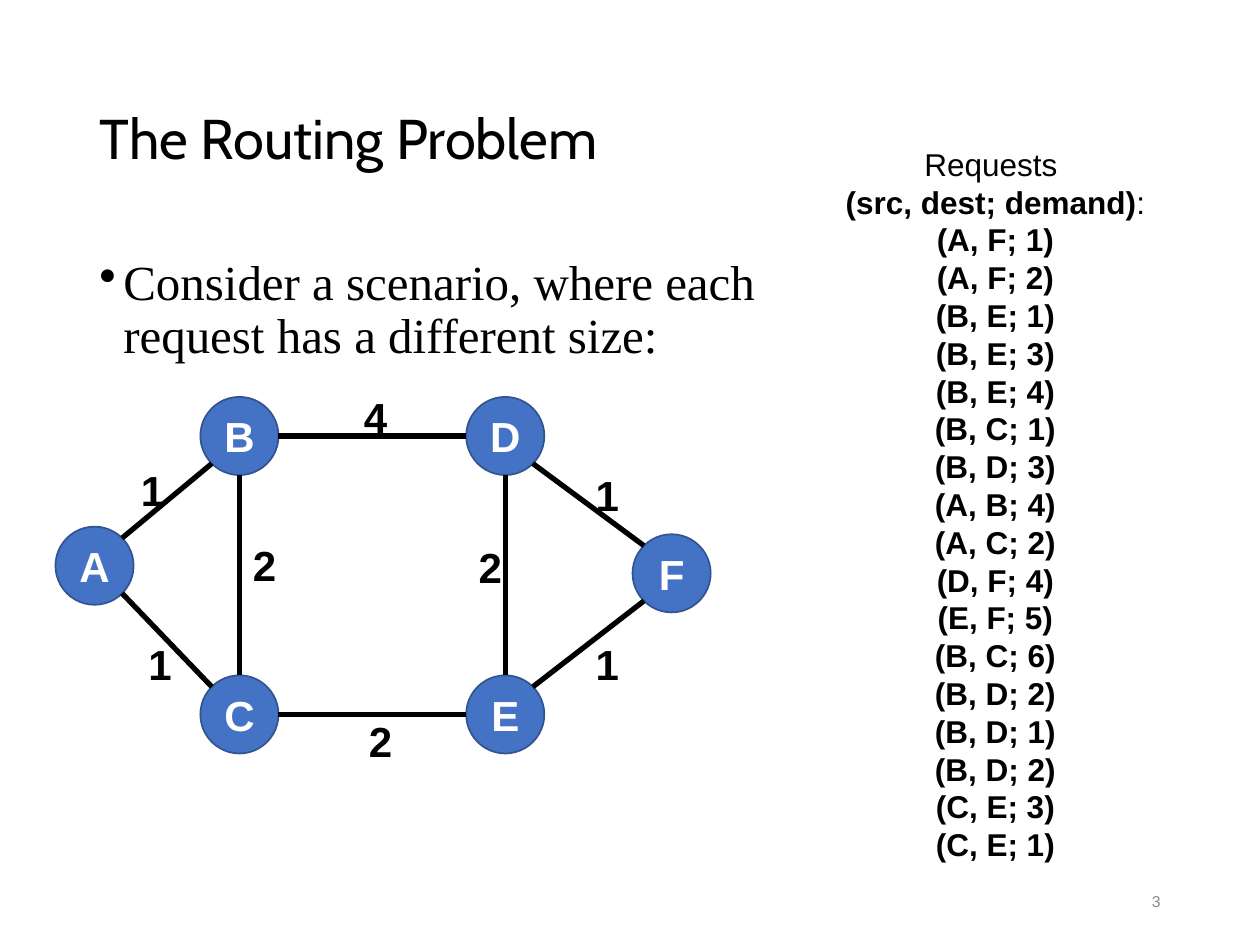
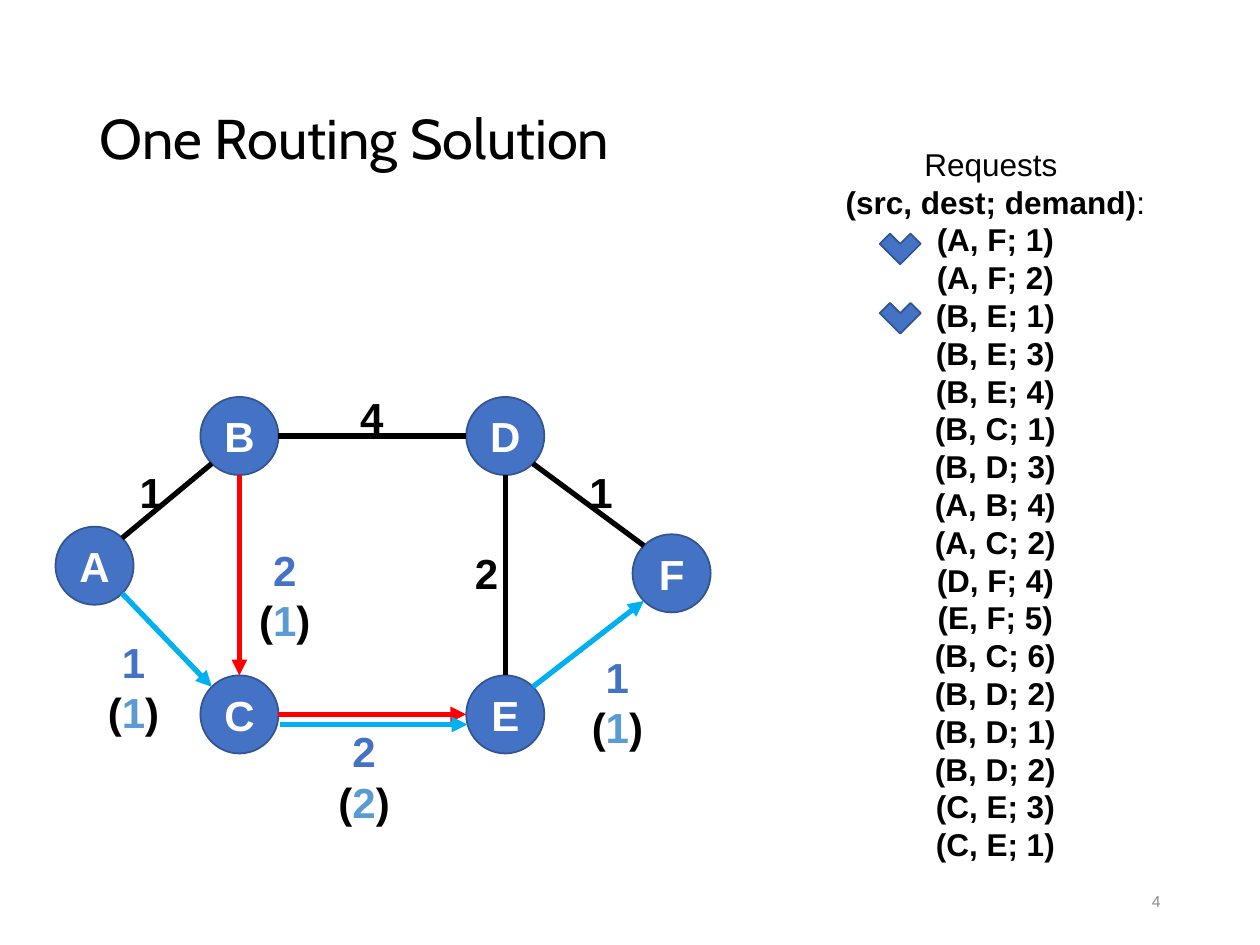
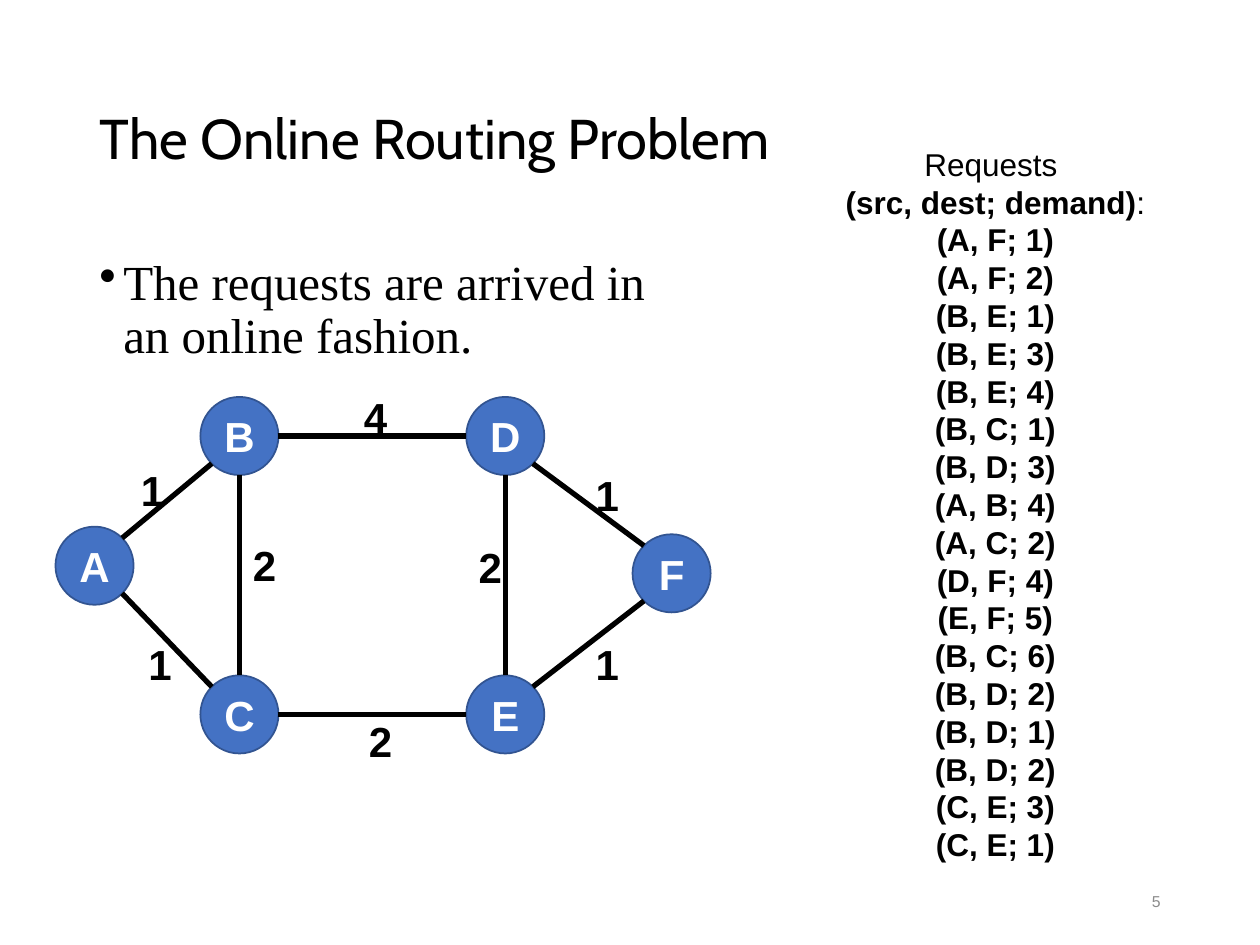
from dataclasses import dataclass
from math import hypot

from lxml.etree import SubElement
from pptx import Presentation
from pptx.dml.color import RGBColor
from pptx.enum.shapes import MSO_CONNECTOR, MSO_SHAPE
from pptx.enum.text import MSO_ANCHOR, PP_ALIGN
from pptx.oxml.ns import qn
from pptx.util import Inches, Pt


@dataclass(frozen=True)
class Theme:
    black: str = "000000"
    white: str = "FFFFFF"
    grey: str = "8C8C8C"
    blue: str = "4472C4"
    blue_edge: str = "325491"
    light_blue: str = "5B9BD5"
    deep_blue: str = "0070C0"
    cyan: str = "00B0F0"
    red: str = "FF0000"
    sans: str = "Arial"
    serif: str = "Times New Roman"
    heading: str = "Cabin"
    title_size: float = 32
    body_size: float = 28
    graph_size: float = 24
    request_size: float = 18
    number_size: float = 9


THEME = Theme()


def write(shape, paragraphs, font=THEME.sans, size=THEME.graph_size, color=THEME.black,
          bold=False, align=PP_ALIGN.CENTER, anchor=MSO_ANCHOR.TOP, wrap=True,
          spacing=None, bullet=False):
    """Fill a shape; a paragraph is a string or a list of (text, overrides) runs."""
    frame = shape.text_frame
    frame.word_wrap = wrap
    frame.vertical_anchor = anchor
    for index, runs in enumerate(paragraphs):
        paragraph = frame.add_paragraph() if index else frame.paragraphs[0]
        if bullet:
            properties = paragraph._p.get_or_add_pPr()
            properties.set("marL", str(Inches(0.19)))
            properties.set("indent", str(-Inches(0.19)))
            SubElement(properties, qn("a:buChar"), char="•")
        paragraph.alignment = align
        paragraph.line_spacing = spacing
        for text, overrides in [(runs, {})] if isinstance(runs, str) else runs:
            for row, line in enumerate(text.split("\n")):
                if row:
                    paragraph.add_line_break()
                run = paragraph.add_run()
                run.text = line
                run.font.name = font
                run.font.size = Pt(size)
                run.font.bold = overrides.get("bold", bold)
                if "outline" in overrides:
                    properties = run._r.get_or_add_rPr()
                    outline = SubElement(properties, qn("a:ln"), w=str(Pt(0.75)))
                    properties.insert(0, outline)
                    fill = SubElement(outline, qn("a:solidFill"))
                    SubElement(fill, qn("a:srgbClr"), val=overrides["outline"])
                run.font.color.rgb = RGBColor.from_string(overrides.get("color", color))


def paint(shape):
    """Give a shape the blue fill and thin dark edge of the graph."""
    shape.shadow.inherit = False
    shape.fill.solid()
    shape.fill.fore_color.rgb = RGBColor.from_string(THEME.blue)
    shape.line.color.rgb = RGBColor.from_string(THEME.blue_edge)
    shape.line.width = Pt(1)


# Request list
DEMANDS = ("AF1 AF2 BE1 BE3 BE4 BC1 BD3 AB4 AC2 "
           "DF4 EF5 BC6 BD2 BD1 BD2 CE3 CE1").split()
REQUESTS = [
    [("Requests ", {"bold": False})],
    [("(src, dest; demand)", {}), (":", {"bold": False})],
    *(f"({source}, {target}; {demand})" for source, target, demand in DEMANDS),
]

# Graph: node centres, links, and the place of each capacity label
RADIUS = 0.31
NODES = {"A": (0.75, 4.49), "B": (1.9, 3.46), "C": (1.9, 5.67),
         "D": (4.01, 3.46), "E": (4.01, 5.67), "F": (5.33, 4.55)}
CAPACITIES = {"AB": "1", "AC": "1", "DF": "1", "EF": "1",
              "BD": "4", "CE": "2", "BC": "2", "DE": "2"}
PLAIN_LABELS = {"AB": (1.02, 3.64), "AC": (1.08, 5.02), "DF": (4.63, 3.68), "EF": (4.63, 5.02),
                "BD": (2.79, 3.06), "CE": (2.83, 5.63), "BC": (1.91, 4.23), "DE": (3.7, 4.25)}
ROUTED_LABELS = {"AB": (1.01, 3.65), "AC": (0.7, 5), "DF": (4.58, 3.65), "EF": (4.54, 5.12),
                 "BD": (2.76, 3.06), "CE": (2.53, 5.71), "BC": (1.9, 4.27), "DE": (3.67, 4.3)}

# Routing solution: (link, colour, shift) of each hop, and the load on used links
ROUTES = [("AC", THEME.cyan, (0, 0)), ("EF", THEME.cyan, (0, 0)),
          ("CE", THEME.red, (0, 0)), ("BC", THEME.red, (0, 0)),
          ("CE", THEME.cyan, (0.01, 0.08))]
LOADS = {"AC": "1", "EF": "1", "CE": "2", "BC": "1"}

SLIDES = [
    (3, "The Routing Problem",
     "Consider a scenario, where each \nrequest has a different size:", False),
    (4, "One Routing Solution", None, True),
    (5, "The Online Routing Problem",
     "The requests are arrived in \nan online fashion.", False),
]

prs = Presentation()
prs.slide_width, prs.slide_height = Inches(10), Inches(7.5)

for number, heading, statement, routed in SLIDES:
    slide = prs.slides.add_slide(prs.slide_layouts[5])
    shapes = slide.shapes

    # Title
    title = shapes.title
    title.left, title.top, title.width, title.height = map(Inches, (0.69, 0.4, 8.62, 1.45))
    write(title, [heading], font=THEME.heading, size=THEME.title_size,
          align=PP_ALIGN.LEFT, anchor=MSO_ANCHOR.MIDDLE, spacing=0.9)

    # Statement
    if statement:
        body = shapes.add_textbox(*map(Inches, (0.69, 2, 8.62, 4.76)))
        write(body, [statement], font=THEME.serif, size=THEME.body_size,
              align=PP_ALIGN.LEFT, spacing=0.9, bullet=True)

    # Slide number
    page = shapes.add_textbox(*map(Inches, (7.06, 6.95, 2.25, 0.4)))
    write(page, [str(number)], size=THEME.number_size, color=THEME.grey,
          align=PP_ALIGN.RIGHT, anchor=MSO_ANCHOR.MIDDLE)

    # Requests, with a check beside each one that is served
    requests = shapes.add_textbox(*map(Inches, (6.6, 1.1, 2.6, 5.86)))
    write(requests, REQUESTS, size=THEME.request_size, bold=True)
    for check_top in (1.82, 2.37) if routed else ():
        check = shapes.add_shape(MSO_SHAPE.CORNER,
                                 *map(Inches, (7.03, check_top, 0.23, 0.23)))
        check.rotation = 315
        paint(check)

    # Nodes
    for name, (x, y) in NODES.items():
        node = shapes.add_shape(MSO_SHAPE.OVAL, *map(
            Inches, (x - RADIUS, y - RADIUS, 2 * RADIUS, 2 * RADIUS)))
        paint(node)
        write(node, [name], color=THEME.white, bold=True, anchor=MSO_ANCHOR.MIDDLE, wrap=False)

    # Links leave a node straight or at 45 degrees; routed hops carry arrowheads
    loads = LOADS if routed else {}
    hops = [(link, THEME.black, (0, 0)) for link in CAPACITIES if link not in loads]
    for link, color, (shift_x, shift_y) in hops + (ROUTES if routed else []):
        (x1, y1), (x2, y2) = (NODES[name] for name in link)
        way_x, way_y = (x2 > x1) - (x2 < x1), (y2 > y1) - (y2 < y1)
        reach = RADIUS / hypot(way_x, way_y)
        edge = shapes.add_connector(MSO_CONNECTOR.STRAIGHT, *map(Inches, (
            x1 + way_x * reach + shift_x, y1 + way_y * reach + shift_y,
            x2 - way_x * reach + shift_x, y2 - way_y * reach + shift_y)))
        edge.line.color.rgb = RGBColor.from_string(color)
        edge.line.width = Pt(3)
        properties = edge._element.spPr
        if link in loads:
            SubElement(properties.find(qn("a:ln")), qn("a:tailEnd"), type="triangle")
        SubElement(properties, qn("a:effectLst"))

    # Capacity labels, with the load in brackets on used links
    for link, (x, y) in (ROUTED_LABELS if routed else PLAIN_LABELS).items():
        used = link in loads
        label = shapes.add_textbox(*map(Inches, (x, y, 0.72 if used else 0.34, 0.4)))
        capacity = CAPACITIES[link]
        if used:
            load_outline = THEME.deep_blue if link == "EF" else THEME.blue
            capacity = [(capacity, {"color": THEME.blue, "outline": THEME.black}),
                        (" (", {}),
                        (loads[link], {"color": THEME.light_blue, "outline": load_outline}),
                        (")", {})]
        write(label, [capacity], bold=True, wrap=used)

prs.save("out.pptx")
